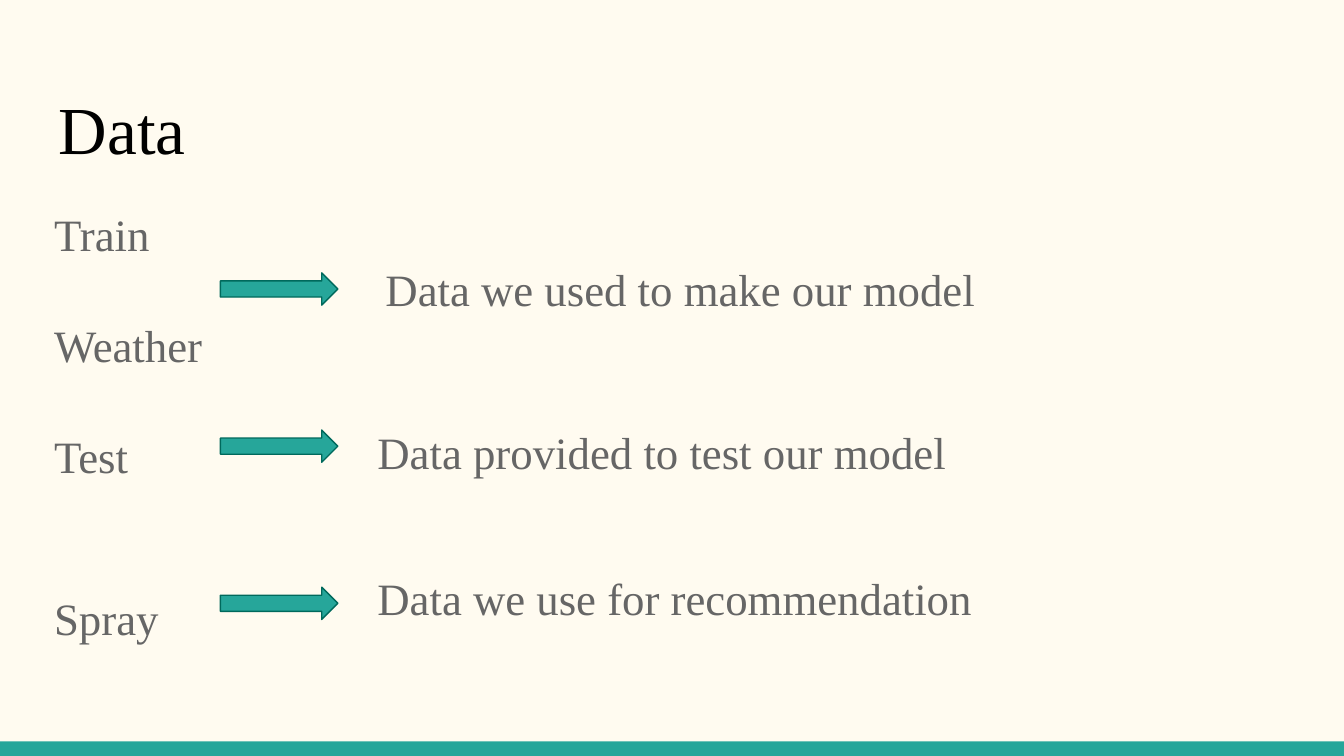
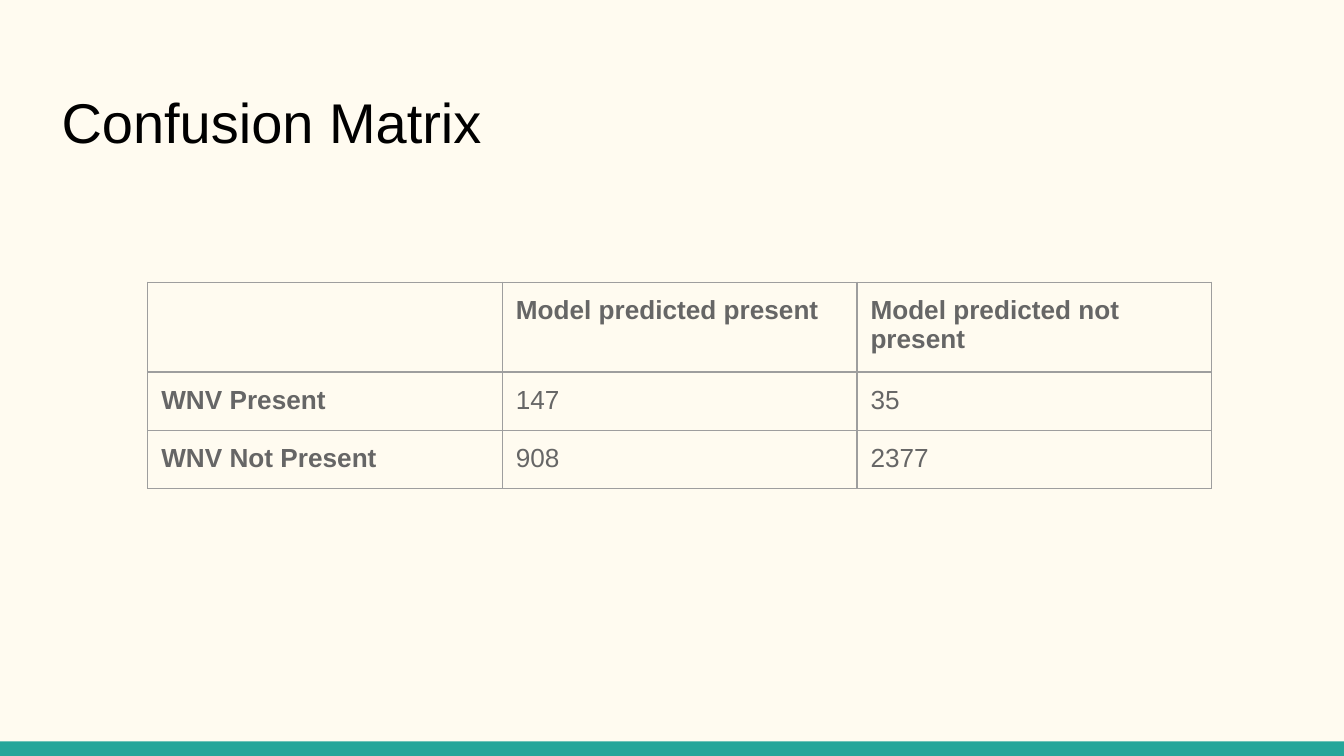
from lxml.etree import SubElement
from pptx import Presentation
from pptx.dml.color import RGBColor
from pptx.enum.shapes import MSO_SHAPE
from pptx.oxml.ns import qn
from pptx.util import Pt

WIDTH, HEIGHT = 720, 405
BAND_HEIGHT = 7.8
INSET = 7.2
LINE_SPACING = 1.1
BLANK_LINE = 27.6

CREAM, TEAL, DARK_TEAL = "FFFBF0", "26A69A", "00695C"
BLACK, GREY, RULE_GREY = "000000", "666666", "9E9E9E"
SERIF, SANS = "Times New Roman", "Arial"


def paint(color_holder, color):
    """Give a fill or a font a solid hex colour."""
    if hasattr(color_holder, "solid"):
        color_holder.solid()
        color_holder.fore_color.rgb = RGBColor.from_string(color)
    else:
        color_holder.color.rgb = RGBColor.from_string(color)


def style_font(font, face, size, color, bold=False):
    font.name, font.size, font.bold = face, Pt(size), bold
    paint(font, color)


def set_insets(holder):
    holder.margin_left = holder.margin_right = Pt(INSET)
    holder.margin_top = holder.margin_bottom = Pt(INSET)


def add_box(slide, preset, left, top, width, height, outline=None):
    box = slide.shapes.add_shape(preset, Pt(left), Pt(top), Pt(width), Pt(height))
    box.shadow.inherit = False
    paint(box.fill, TEAL)
    if outline:
        paint(box.line.fill, outline)
        box.line.width = Pt(0.75)
    else:
        box.line.fill.background()


def add_text(slide, lines, left, top, width, height, face=SERIF, size=24, color=GREY):
    """Add lines given as (text, number of blank lines above it)."""
    frame = slide.shapes.add_textbox(Pt(left), Pt(top), Pt(width), Pt(height)).text_frame
    frame.word_wrap = True
    set_insets(frame)
    for index, (text, blanks) in enumerate(lines):
        paragraph = frame.add_paragraph() if index else frame.paragraphs[0]
        paragraph.text = text
        paragraph.line_spacing = LINE_SPACING
        paragraph.space_before = Pt(BLANK_LINE * blanks)
        style_font(paragraph.font, face, size, color)


def add_slide(deck):
    """Add a slide with the shared background and bottom band."""
    slide = deck.slides.add_slide(deck.slide_layouts[6])
    paint(slide.background.fill, CREAM)
    add_box(slide, MSO_SHAPE.RECTANGLE, 0, HEIGHT - BAND_HEIGHT, WIDTH, BAND_HEIGHT)
    return slide


def add_title(slide, title, left, top, width, height, face, size):
    add_text(slide, [(title, 0)], left, top, width, height, face, size, BLACK)


def set_borders(cell):
    properties = cell._tc.get_or_add_tcPr()
    for position, side in enumerate(("a:lnL", "a:lnR", "a:lnT", "a:lnB")):
        border = SubElement(properties, qn(side), w=str(Pt(0.75)))
        properties.insert(position, border)
        SubElement(SubElement(border, qn("a:solidFill")), qn("a:srgbClr"), val=RULE_GREY)


def add_matrix(slide, rows, left, top, column_width, row_heights):
    """Add a table whose first row and first column are bold headings."""
    columns = len(rows[0])
    table = slide.shapes.add_table(
        len(rows), columns, Pt(left), Pt(top),
        Pt(column_width * columns), Pt(sum(row_heights))).table
    table.first_row = table.horz_banding = False
    for column in table.columns:
        column.width = Pt(column_width)
    for r, (values, height) in enumerate(zip(rows, row_heights)):
        table.rows[r].height = Pt(height)
        for c, value in enumerate(values):
            cell = table.cell(r, c)
            cell.text = value
            cell.fill.background()
            set_insets(cell)
            set_borders(cell)
            style_font(cell.text_frame.paragraphs[0].font, SANS, 14, GREY,
                       bold=r == 0 or c == 0)


def build_data(deck):
    slide = add_slide(deck)
    add_title(slide, "Data", 24.5, 35.3, 671, 48, SERIF, 36)
    datasets = [("Train", 0), ("Weather", 1), ("Test", 1), ("Spray", 2)]
    add_text(slide, datasets, 21.9, 100.8, 676, 252.7)
    uses = [
        ("Data we used to make our model", 199.4, 130.3, 464.4, 54),
        ("Data provided to test our model", 195.1, 217.4, 436.3, 41.8),
        ("Data we use for recommendation", 195.1, 295.9, 436.3, 41.8),
    ]
    for index, (use, *place) in enumerate(uses):
        add_box(slide, MSO_SHAPE.RIGHT_ARROW, 118.1, 146.2 + 84.2 * index,
                62.9, 17.3, DARK_TEAL)
        add_text(slide, [(use, 0)], *place)


def build_confusion_matrix(deck):
    slide = add_slide(deck)
    results = [
        ("", "Model predicted present", "Model predicted not present"),
        ("WNV Present", "147", "35"),
        ("WNV Not Present", "908", "2377"),
    ]
    add_matrix(slide, results, 79.2, 151.2, 190, (46, 30, 30))
    add_title(slide, "Confusion Matrix", 25.9, 36, 609, 53.3, SANS, 30)


def main():
    deck = Presentation()
    deck.slide_width, deck.slide_height = Pt(WIDTH), Pt(HEIGHT)
    build_data(deck)
    build_confusion_matrix(deck)
    deck.save("out.pptx")


if __name__ == "__main__":
    main()
